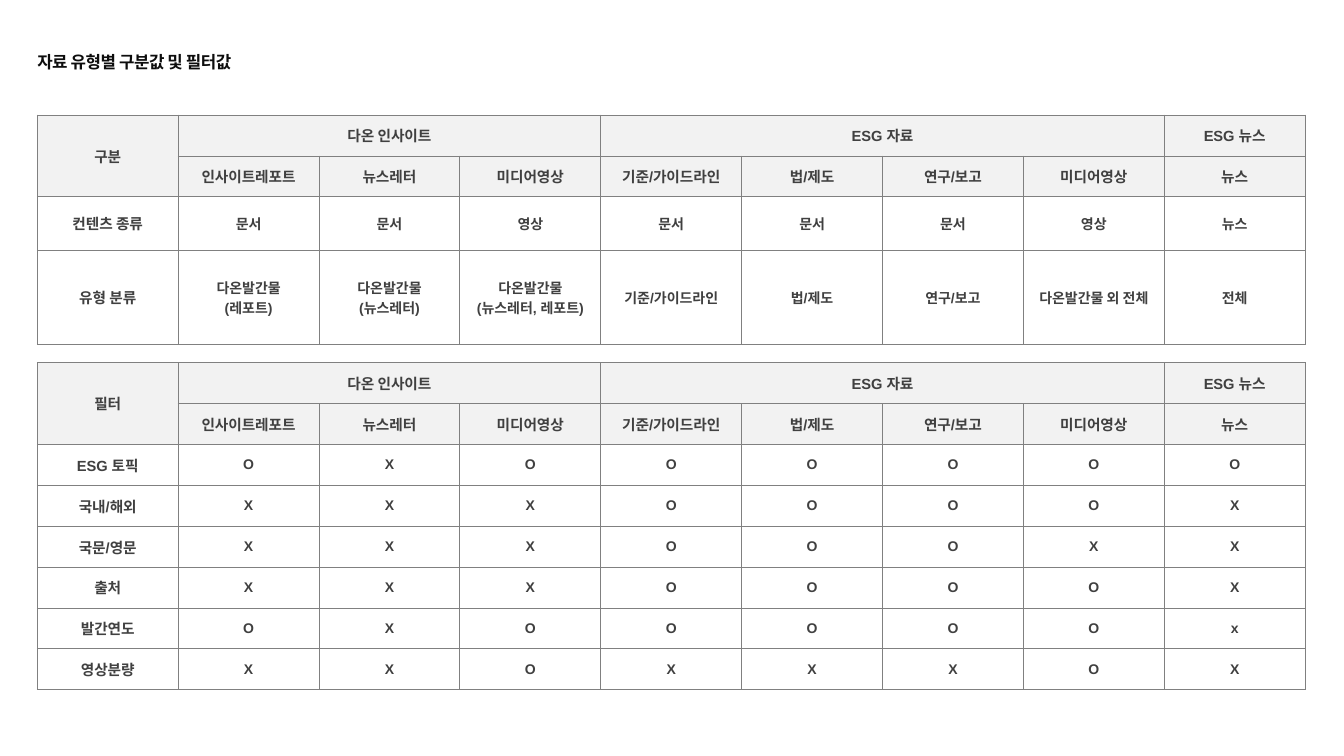
from dataclasses import dataclass

from lxml import etree
from pptx import Presentation
from pptx import util as u
from pptx.dml.color import RGBColor
from pptx.enum import text
from pptx.oxml import ns

TITLE_COLOR = RGBColor(0x0D, 0x0D, 0x0D)
TEXT_COLOR = RGBColor(0x40, 0x40, 0x40)
BORDER_COLOR = RGBColor(0x80, 0x80, 0x80)
HEADER_FILL = RGBColor(0xF2, 0xF2, 0xF2)
FONT = "Arial"
LABEL_SIZE, VALUE_SIZE = u.Pt(10.5), u.Pt(10)

LEFT = u.Cm(0.94)
COLUMN_WIDTH = u.Cm(3.55)
ROW_HEIGHT, GAP_HEIGHT = u.Cm(1.03), u.Cm(0.45)

GROUPS = {
    "다온 인사이트": ["인사이트레포트", "뉴스레터", "미디어영상"],
    "ESG 자료": ["기준/가이드라인", "법/제도", "연구/보고", "미디어영상"],
    "ESG 뉴스": ["뉴스"],
}
SUBHEADERS = [name for names in GROUPS.values() for name in names]


@dataclass
class Row:
    label: str
    values: list[str]
    height: u.Length = ROW_HEIGHT


@dataclass
class Section:
    heading: str
    rows: list[Row]


SECTIONS = [
    Section("구분", [
        Row("컨텐츠 종류",
            ["문서", "문서", "영상", "문서", "문서", "문서", "영상", "뉴스"], u.Cm(1.34)),
        Row("유형 분류",
            ["다온발간물\n(레포트)", "다온발간물\n(뉴스레터)", "다온발간물\n(뉴스레터, 레포트)",
             "기준/가이드라인", "법/제도", "연구/보고", "다온발간물 외 전체", "전체"], u.Cm(2.39)),
    ]),
    Section("필터", [
        Row("ESG 토픽", list("OXOOOOOO")),
        Row("국내/해외", list("XXXOOOOX")),
        Row("국문/영문", list("XXXOOOXX")),
        Row("출처", list("XXXOOOOX")),
        Row("발간연도", list("OXOOOOOx")),
        Row("영상분량", list("XXOXXXOX")),
    ]),
]


def set_borders(cell, visible: str) -> None:
    """Draw the sides named in visible (letters of LRTB) and clear the others."""
    properties = cell._tc.get_or_add_tcPr()
    for side in "LRTB":
        line = etree.SubElement(properties, ns.qn(f"a:ln{side}"), w=str(u.Pt(0.75)))
        if side in visible:
            fill = etree.SubElement(line, ns.qn("a:solidFill"))
            etree.SubElement(fill, ns.qn("a:srgbClr"), val=str(BORDER_COLOR))
        else:
            etree.SubElement(line, ns.qn("a:noFill"))


def style_cell(cell, header: bool) -> None:
    set_borders(cell, "LRTB")
    cell.vertical_anchor = text.MSO_ANCHOR.MIDDLE
    if header:
        cell.fill.solid()
        cell.fill.fore_color.rgb = HEADER_FILL
    else:
        cell.fill.background()


def write_cell(cell, words: str, size: u.Length) -> None:
    cell.text_frame.text = words
    for para in cell.text_frame.paragraphs:
        para.alignment = text.PP_ALIGN.CENTER
        for span in para.runs:
            span.font.name, span.font.size, span.font.bold = FONT, size, True
            span.font.color.rgb = TEXT_COLOR


def fill_section(table, top: int, section: Section) -> None:
    last_row = top + 1 + len(section.rows)
    for row in range(top, last_row + 1):
        for column in range(len(table.columns)):
            style_cell(table.cell(row, column), header=row < top + 2)

    table.cell(top, 0).merge(table.cell(top + 1, 0))
    write_cell(table.cell(top, 0), section.heading, LABEL_SIZE)
    column = 1
    for group, names in GROUPS.items():
        if len(names) > 1:
            table.cell(top, column).merge(table.cell(top, column + len(names) - 1))
        write_cell(table.cell(top, column), group, LABEL_SIZE)
        column += len(names)
    for column, name in enumerate(SUBHEADERS, start=1):
        write_cell(table.cell(top + 1, column), name, LABEL_SIZE)

    for index, row in enumerate(section.rows, start=top + 2):
        table.rows[index].height = row.height
        write_cell(table.cell(index, 0), row.label, LABEL_SIZE)
        for column, value in enumerate(row.values, start=1):
            write_cell(table.cell(index, column), value, VALUE_SIZE)


def clear_gap_row(table, index: int) -> None:
    table.rows[index].height = GAP_HEIGHT
    for cell in table.rows[index].cells:
        set_borders(cell, "TB")
        cell.fill.background()
        cell.margin_top = cell.margin_bottom = 0
        para = cell.text_frame.paragraphs[0]
        etree.SubElement(para._p, ns.qn("a:endParaRPr"), sz="100")


def add_title(slide) -> None:
    box = slide.shapes.add_textbox(LEFT, u.Cm(0.92), u.Cm(12.2), u.Cm(1.02))
    frame = box.text_frame
    frame.word_wrap = True
    frame.vertical_anchor = text.MSO_ANCHOR.MIDDLE
    frame.margin_left = frame.margin_right = 0
    frame.text = "자료 유형별 구분값 및 필터값"
    para = frame.paragraphs[0]
    para.line_spacing = 1.5
    span = para.runs[0]
    span.font.name, span.font.size, span.font.bold = FONT, u.Pt(12), True
    span.font.color.rgb = TITLE_COLOR
    span.font._element.set("spc", "-30")


def add_filter_table(slide) -> None:
    row_count = sum(len(section.rows) + 2 for section in SECTIONS) + len(SECTIONS) - 1
    column_count = len(SUBHEADERS) + 1
    table = slide.shapes.add_table(
        row_count, column_count, LEFT, u.Cm(2.9),
        COLUMN_WIDTH * column_count, ROW_HEIGHT * row_count).table
    table.first_row = table.horz_banding = False
    for column in table.columns:
        column.width = COLUMN_WIDTH
    for row in table.rows:
        row.height = ROW_HEIGHT

    top = 0
    for section in SECTIONS:
        if top:
            clear_gap_row(table, top - 1)
        fill_section(table, top, section)
        top += len(section.rows) + 3


def main() -> None:
    deck = Presentation()
    deck.slide_width, deck.slide_height = u.Cm(33.87), u.Cm(19.05)
    slide = deck.slides.add_slide(deck.slide_layouts[6])
    add_filter_table(slide)
    add_title(slide)
    deck.save("out.pptx")


if __name__ == "__main__":
    main()
